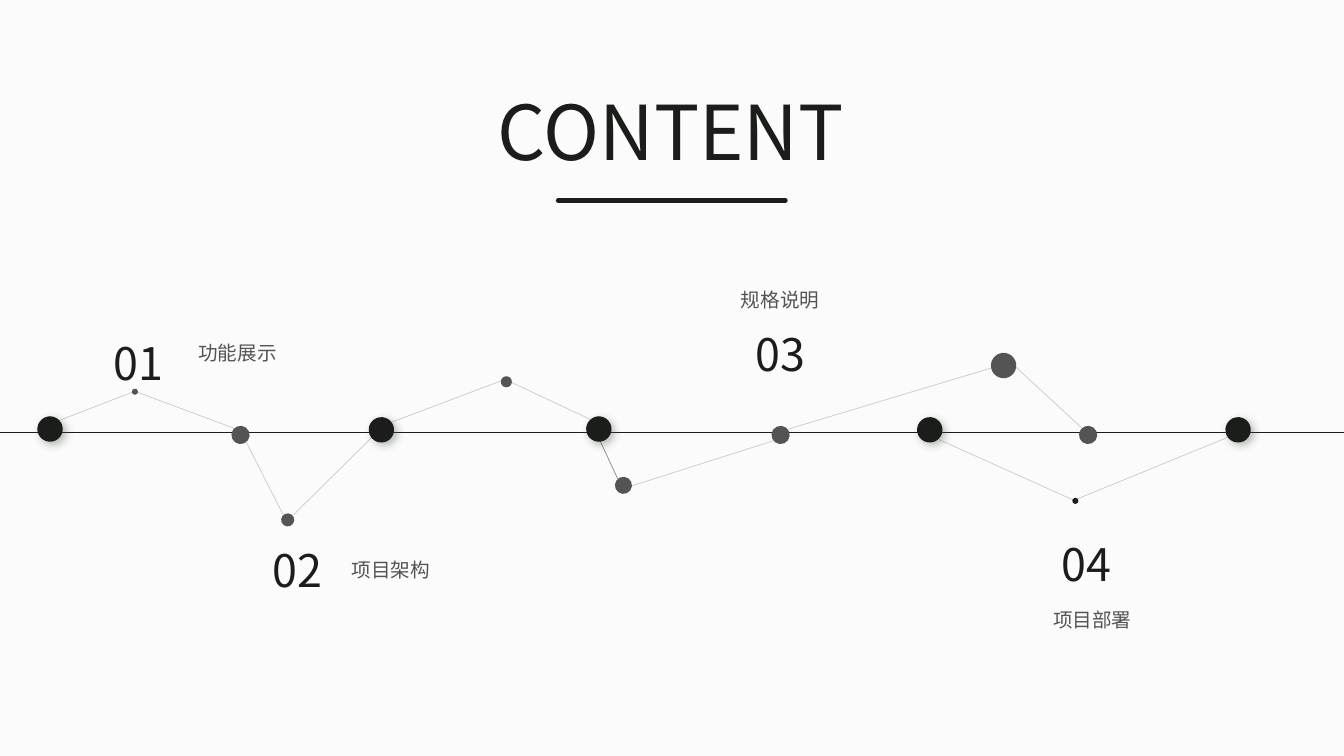
from dataclasses import dataclass

from lxml import etree
from pptx import Presentation
from pptx import util as u
from pptx.dml.color import RGBColor
from pptx.enum import shapes, text
from pptx.oxml import parse_xml
from pptx.oxml.ns import nsdecls, qn


@dataclass(frozen=True)
class Theme:
    font: str = "Noto Sans CJK SC"
    paper: str = "FBFBFB"
    ink: str = "1A1D1A"
    gray: str = "545454"
    shadow: str = "505950"
    title_size: float = 54
    number_size: float = 32
    label_size: float = 14


class Page:
    def __init__(self, deck, theme):
        self.theme = theme
        self.slide = deck.slides.add_slide(deck.slide_layouts[6])
        fill = self.slide.background.fill
        fill.solid()
        fill.fore_color.rgb = RGBColor.from_string(theme.paper)

    def label(self, words, left, top, width, height, size, color, wrap=False, align=None):
        box = self.slide.shapes.add_textbox(u.Cm(left), u.Cm(top), u.Cm(width), u.Cm(height))
        frame = box.text_frame
        frame.text = words
        frame.word_wrap = wrap
        frame.auto_size = text.MSO_AUTO_SIZE.SHAPE_TO_FIT_TEXT
        para = frame.paragraphs[0]
        para.alignment = align
        span = para.runs[0]
        span.font.name = self.theme.font
        span.font.size = u.Pt(size)
        span.font.color.rgb = RGBColor.from_string(color)
        east_asian = etree.SubElement(span.font._element, qn("a:ea"))
        east_asian.set("typeface", self.theme.font)

    def line(self, start, end, weight, opacity=100, round_ends=False):
        points = [u.Cm(value) for value in (*start, *end)]
        line = self.slide.shapes.add_connector(shapes.MSO_CONNECTOR.STRAIGHT, *points)
        line.line.width = u.Pt(weight)
        line.line.color.rgb = RGBColor.from_string(self.theme.ink)
        properties = line._element.spPr
        etree.SubElement(properties, qn("a:effectLst"))
        if round_ends:
            properties.find(qn("a:ln")).set("cap", "rnd")
        if opacity < 100:
            color = properties.find(".//" + qn("a:srgbClr"))
            etree.SubElement(color, qn("a:alpha")).set("val", str(opacity * 1000))

    def dot(self, x, y, size, color, shadow=False):
        dot = self.slide.shapes.add_shape(
            shapes.MSO_SHAPE.OVAL, u.Cm(x - size / 2), u.Cm(y - size / 2), u.Cm(size), u.Cm(size))
        dot.rotation = 186.2
        dot.shadow.inherit = False
        dot.fill.solid()
        dot.fill.fore_color.rgb = RGBColor.from_string(color)
        dot.line.fill.background()
        if shadow:
            effects = dot._element.spPr.find(qn("a:effectLst"))
            effects.append(parse_xml(
                f'<a:outerShdw {nsdecls("a")} blurRad="{u.Pt(6)}" dist="{u.Pt(3)}" '
                f'dir="2700000" algn="tl" rotWithShape="0"><a:srgbClr val="{self.theme.shadow}">'
                '<a:alpha val="40000"/></a:srgbClr></a:outerShdw>'))


def main():
    theme = Theme()
    deck = Presentation()
    deck.slide_width, deck.slide_height = u.Cm(33.87), u.Cm(19.05)
    page = Page(deck, theme)

    page.label("CONTENT", 12.29, 2.01, 9.27, 2.57, theme.title_size, theme.ink)
    page.line((14.07, 5.05), (19.79, 5.05), 3.5, round_ends=True)
    page.line((0, 10.9), (33.87, 10.9), 0.75)

    for x in (6.06, 19.67, 27.42):
        page.dot(x, 10.96, 0.46, theme.gray)
    for x, y in ((1.26, 10.81), (9.61, 10.83), (15.09, 10.81), (23.43, 10.83), (31.2, 10.83)):
        page.dot(x, y, 0.64, theme.ink, shadow=True)

    links = [
        ((1.5, 10.59), (3.4, 9.86)),
        ((3.4, 9.86), (5.92, 10.8)),
        ((6.2, 11.13), (7.14, 12.98)),
        ((7.37, 13), (9.37, 11.02)),
        ((9.86, 10.64), (12.62, 9.6)),
        ((14.88, 10.57), (12.88, 9.63)),
        ((19.51, 11.1), (15.93, 12.24)),
        ((24.99, 9.27), (19.84, 10.82)),
        ((27.28, 10.8), (25.6, 9.25)),
        ((27.05, 12.6), (23.65, 11.07)),
        ((30.94, 11.02), (27.08, 12.6)),
    ]
    for start, end in links:
        page.line(start, end, 0.5, opacity=21)
    page.line((15.01, 10.87), (15.57, 12.07), 0.5, opacity=51)

    peaks = [
        (3.4, 9.87, 0.15, theme.gray),
        (7.25, 13.1, 0.33, theme.gray),
        (12.76, 9.62, 0.28, theme.gray),
        (15.71, 12.23, 0.43, theme.gray),
        (25.29, 9.21, 0.64, theme.gray),
        (27.1, 12.62, 0.15, theme.ink),
    ]
    for peak in peaks:
        page.dot(*peak)

    sections = [
        ("功能展示", (1.04, 8.33), (4.75, 8.46), 9.19, True),
        ("项目架构", (5.05, 13.56), (8.61, 13.94), 2.51, False),
        ("规格说明", (17.22, 8.1), (18.42, 7.14), 2.51, False),
        ("项目部署", (24.94, 13.41), (26.29, 15.19), 2.51, False),
    ]
    for index, (name, number_at, label_at, width, wrap) in enumerate(sections, 1):
        page.label(f"{index:02}", *number_at, 4.9, 1.62, theme.number_size, theme.ink,
                   wrap=True, align=text.PP_ALIGN.CENTER)
        page.label(name, *label_at, width, 0.86, theme.label_size, theme.gray, wrap=wrap)

    deck.save("out.pptx")


if __name__ == "__main__":
    main()
